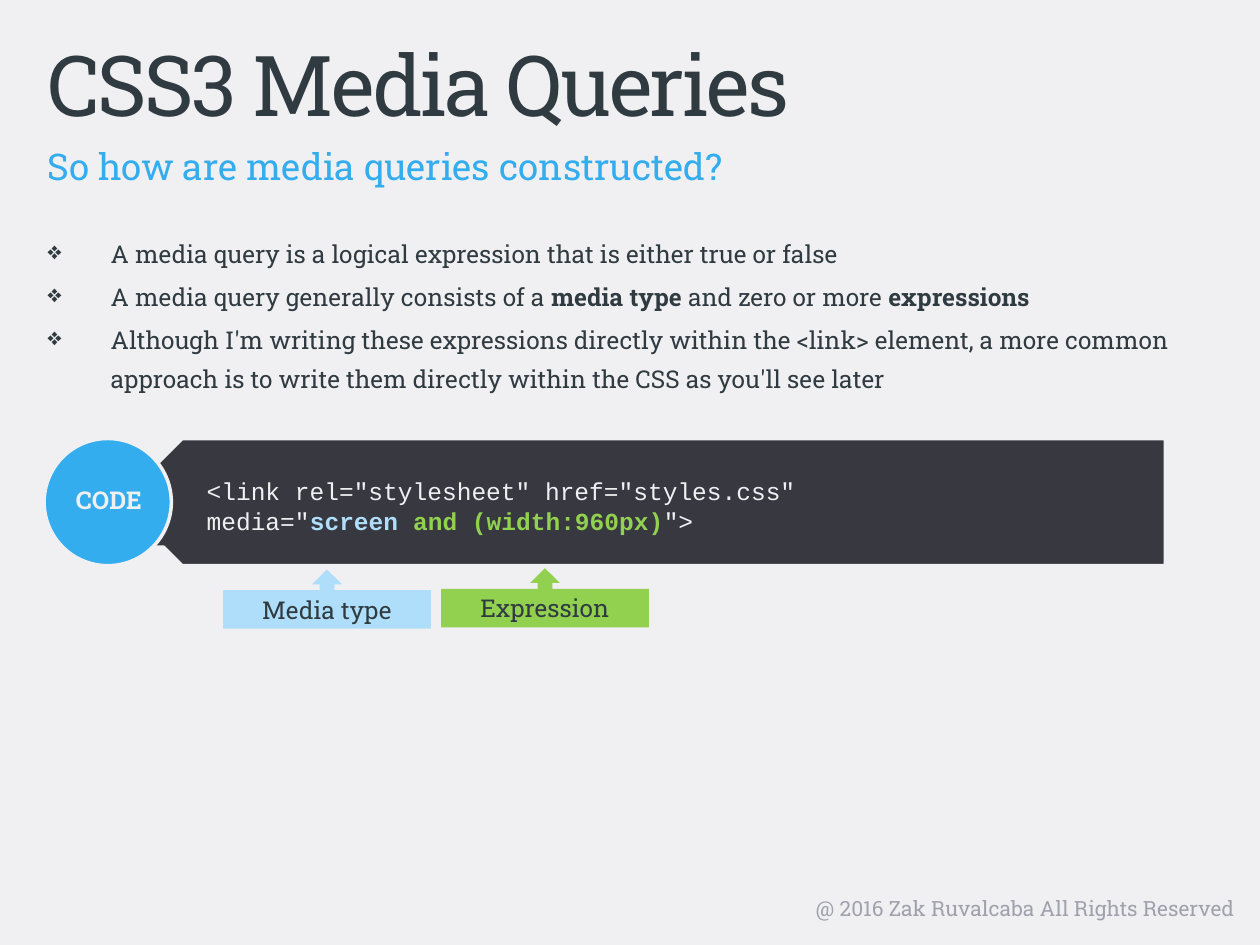
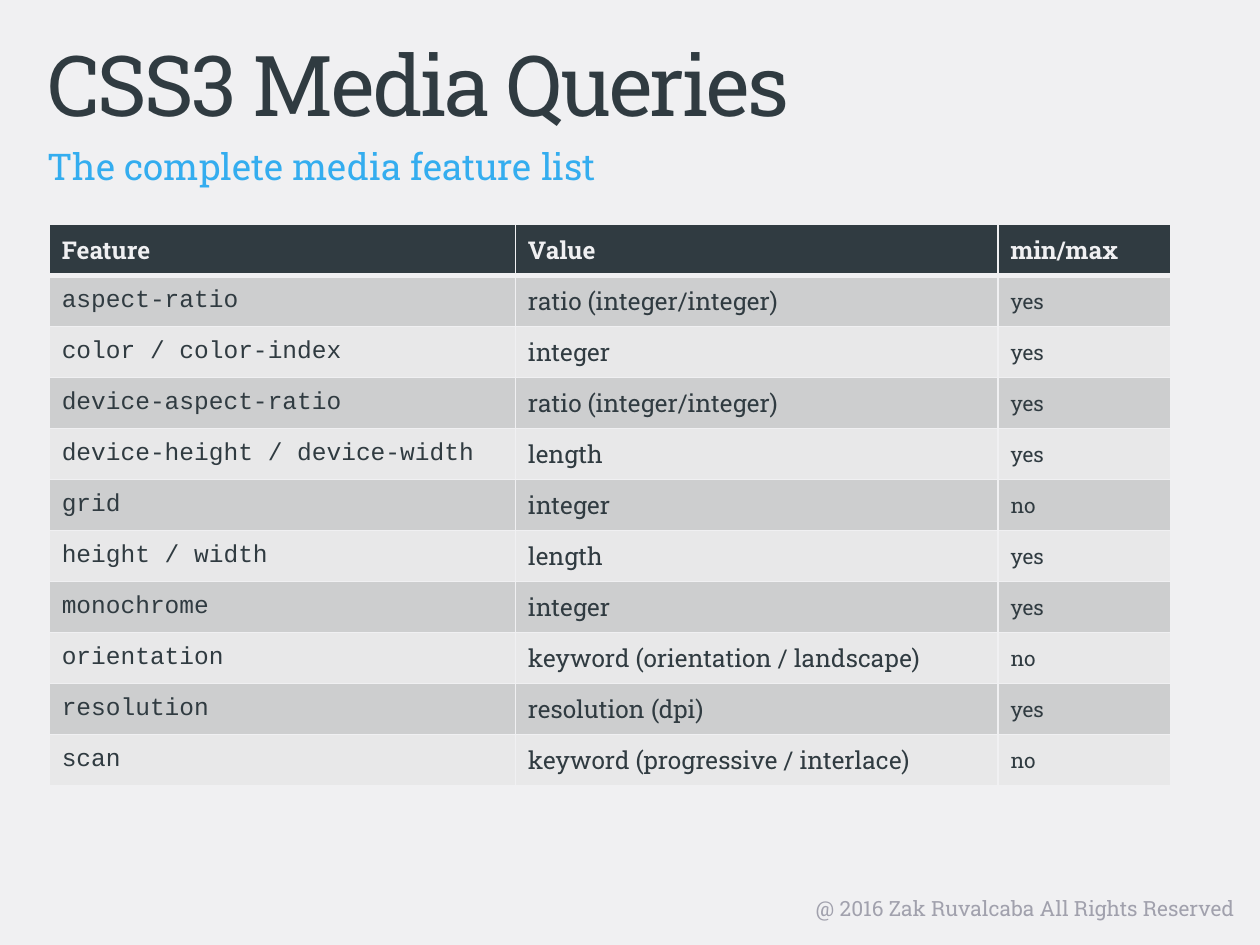
from dataclasses import dataclass

from pptx import Presentation
from pptx import util as u
from pptx.dml.color import RGBColor
from pptx.enum import shapes, text
from pptx.oxml import parse_xml
from pptx.oxml.ns import nsdecls


@dataclass(frozen=True)
class Theme:
    paper: str = "F0F0F2"
    ink: str = "303B41"
    accent: str = "34ADEF"
    muted: str = "A1A1AD"
    code_band: str = "383841"
    media_type: str = "AEDEF9"
    expression: str = "92D050"
    odd_row: str = "CDCECF"
    even_row: str = "E8E8E9"
    slab: str = "Roboto Slab"
    mono: str = "Courier New"
    title_size: int = 48
    subtitle_size: int = 21
    body_size: int = 14
    small_size: int = 12


theme = Theme()
deck = Presentation()
deck.slide_width, deck.slide_height = u.Inches(10), u.Inches(7.5)
GRID = deck.slide_width / 100  # the slide is 100 columns by 75 rows


def place(*cells):
    """Turn grid columns and rows into slide lengths."""
    return [round(cell * GRID) for cell in cells]


def write(frame, *paragraphs, size=theme.body_size, color=theme.ink, font=theme.slab,
          bold=False, align=text.PP_ALIGN.LEFT, anchor=text.MSO_ANCHOR.TOP,
          leading=1.0, tracking=0, bullet=None):
    """Fill a frame; a paragraph is a string or a list of (text, overrides) spans."""
    frame.word_wrap = True
    frame.vertical_anchor = anchor
    for number, spans in enumerate(paragraphs):
        para = frame.paragraphs[0] if number == 0 else frame.add_paragraph()
        para.alignment = align
        para.line_spacing = leading
        if bullet:
            para.space_before = u.Pt(size * 0.2)
            properties = para._p.get_or_add_pPr()
            indent = place(5)[0]
            properties.set("marL", str(indent))
            properties.set("indent", str(-indent))
            properties.append(parse_xml(f'<a:buChar {nsdecls("a")} char="{bullet}"/>'))
        for content, changes in [(spans, {})] if isinstance(spans, str) else spans:
            for row, line in enumerate(content.split("\n")):
                if row:
                    para.add_line_break()
                span = para.add_run()
                span.text = line
                span.font.name = font
                span.font.size = u.Pt(size)
                span.font.bold = changes.get("bold", bold)
                span.font.color.rgb = RGBColor.from_string(changes.get("color", color))
                if tracking:
                    span._r.get_or_add_rPr().set("spc", str(round(tracking * 100)))


# Shared background, title, subtitle and footer
background = deck.slide_master.background.fill
background.solid()
background.fore_color.rgb = RGBColor.from_string(theme.paper)

pages = []
for subtitle in ("So how are media queries constructed?", "The complete media feature list"):
    page = deck.slides.add_slide(deck.slide_layouts[6])
    pages.append(page)
    footer = page.shapes.add_textbox(*place(51, 70.6, 48, 3.1))
    write(footer.text_frame, "@ 2016 Zak Ruvalcaba All Rights Reserved",
          size=theme.small_size, color=theme.muted, align=text.PP_ALIGN.RIGHT)
    title = page.shapes.add_textbox(*place(2.8, 2.1, 88.2, 7.9))
    write(title.text_frame, "CSS3 Media Queries", size=theme.title_size, tracking=-1.5)
    heading = page.shapes.add_textbox(*place(2.8, 9.9, 88.2, 3.9))
    write(heading.text_frame, subtitle, size=theme.subtitle_size,
          color=theme.accent, leading=1.3)
query_page, feature_page = pages

# Slide 1: how a media query is built
strong = {"bold": True}
bullets = query_page.shapes.add_textbox(*place(2.8, 17.8, 92.1, 51.2))
write(
    bullets.text_frame,
    "A media query is a logical expression that is either true or false",
    [("A media query generally consists of a ", {}), ("media type ", strong),
     ("and zero or more ", {}), ("expressions", strong)],
    "Although I'm writing these expressions directly within the <link> element, a more common "
    "approach is to write them directly within the CSS as you'll see later",
    leading=1.3, bullet="❖",
)

kinds = shapes.MSO_SHAPE
parts = {}
for name, kind, cells, fill, outlined in (
    ("band", kinds.PENTAGON, (9.4, 34.8, 83.1, 10.1), theme.code_band, True),
    ("code", kinds.RECTANGLE, (11.9, 37, 78.2, 6.3), theme.code_band, False),
    ("badge", kinds.OVAL, (3.5, 34.8, 10.1, 10.1), theme.accent, True),
    ("Media type", kinds.UP_ARROW_CALLOUT, (17.7, 45.2, 16.5, 4.7), theme.media_type, False),
    ("Expression", kinds.UP_ARROW_CALLOUT, (35, 45.1, 16.5, 4.7), theme.expression, False),
):
    shape = query_page.shapes.add_shape(kind, *place(*cells))
    shape.shadow.inherit = False
    shape.fill.solid()
    shape.fill.fore_color.rgb = RGBColor.from_string(fill)
    if outlined:
        shape.line.color.rgb = RGBColor.from_string(theme.paper)
        shape.line.width = u.Pt(2)
    else:
        shape.line.fill.background()
    parts[name] = shape

parts["band"].rotation = 180
code = parts["code"].text_frame
code.margin_left, code.margin_top, code.margin_right, code.margin_bottom = place(4.5, 0.6, 1.1, 0.6)
write(
    code,
    [('<link rel="stylesheet" href="styles.css"\nmedia="', {}),
     ("screen ", {"color": theme.media_type, "bold": True}),
     ("and (width:960px)", {"color": theme.expression, "bold": True}),
     ('">', {})],
    font=theme.mono, color=theme.paper, anchor=text.MSO_ANCHOR.MIDDLE,
)
badge_label = query_page.shapes.add_textbox(*place(4.3, 38, 8.7, 3.4))
write(badge_label.text_frame, "CODE", color=theme.paper, bold=True, align=text.PP_ALIGN.CENTER)
for label in ("Media type", "Expression"):
    write(parts[label].text_frame, label, align=text.PP_ALIGN.CENTER,
          anchor=text.MSO_ANCHOR.MIDDLE)

# Slide 2: media feature table
features = (
    ("Feature", "Value", "min/max"),
    ("aspect-ratio", "ratio (integer/integer)", "yes"),
    ("color / color-index", "integer", "yes"),
    ("device-aspect-ratio", "ratio (integer/integer)", "yes"),
    ("device-height / device-width", "length", "yes"),
    ("grid", "integer", "no"),
    ("height / width", "length", "yes"),
    ("monochrome", "integer", "yes"),
    ("orientation", "keyword (orientation / landscape)", "no"),
    ("resolution", "resolution (dpi)", "yes"),
    ("scan", "keyword (progressive / interlace)", "no"),
)
column_formats = ({"font": theme.mono}, {}, {"size": theme.small_size})
header_format = {"color": theme.paper, "bold": True}

table = feature_page.shapes.add_table(
    len(features), len(column_formats), *place(3.9, 17.8, 89, 44.6)).table
for column, width in zip(table.columns, place(37, 38.3, 13.7)):
    column.width = width

for row, values in enumerate(features):
    fill = (theme.even_row, theme.odd_row)[row % 2] if row else theme.ink
    for column, value in enumerate(values):
        cell = table.cell(row, column)
        cell.fill.solid()
        cell.fill.fore_color.rgb = RGBColor.from_string(fill)
        write(cell.text_frame, value, **(column_formats[column] if row else header_format))
        cell.vertical_anchor = text.MSO_ANCHOR.MIDDLE
        header_edges = {(0, "B"), (1, "T")}
        for order, side in enumerate("LRTB"):
            weight = u.Pt(3 if (row, side) in header_edges else 1)
            cell._tc.get_or_add_tcPr().insert(order, parse_xml(
                f'<a:ln{side} {nsdecls("a")} w="{weight}"><a:solidFill>'
                f'<a:srgbClr val="{theme.paper}"/></a:solidFill></a:ln{side}>'))

deck.save("out.pptx")
